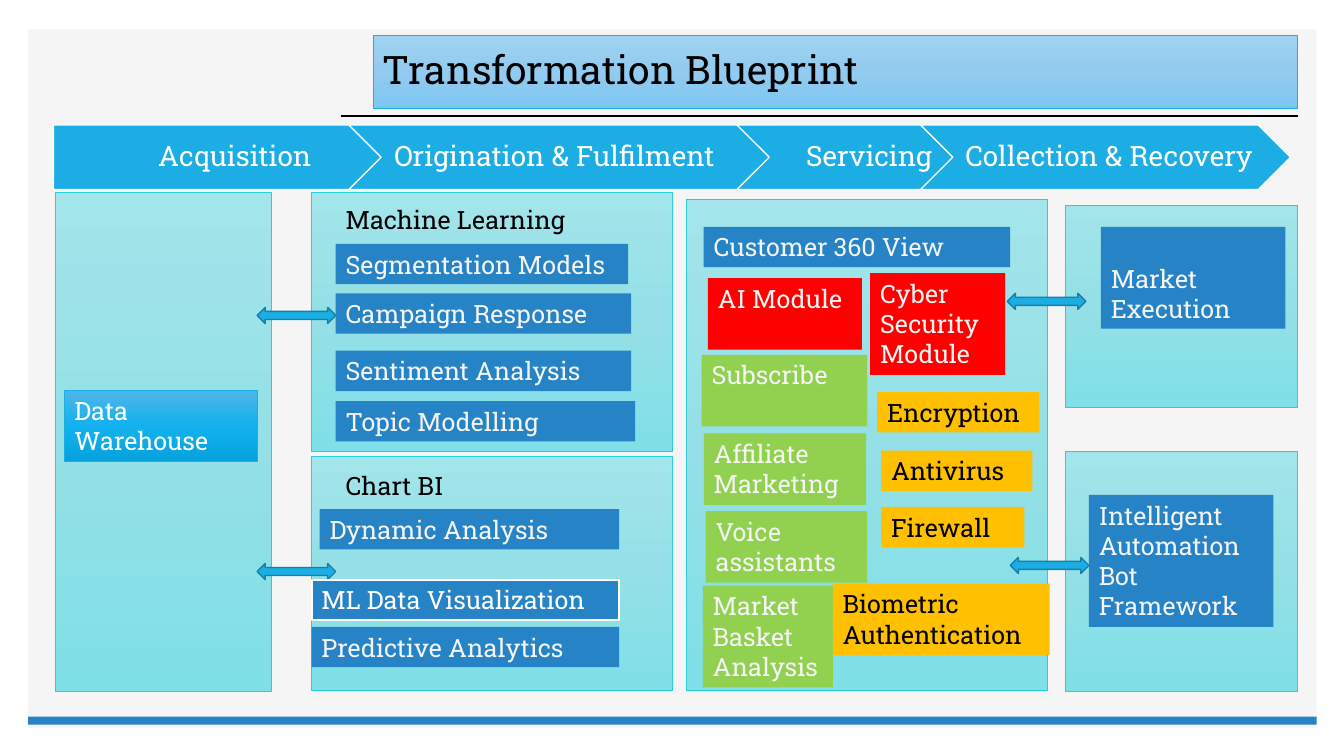
from copy import deepcopy

from pptx import Presentation
from pptx.dml.color import RGBColor
from pptx.enum.shapes import MSO_CONNECTOR, MSO_SHAPE as Shape
from pptx.enum.text import MSO_ANCHOR as Anchor, PP_ALIGN as Align
from pptx.oxml.ns import qn
from pptx.util import Inches, Pt

FONT = "Roboto Slab"
BLACK, WHITE, PALE = "000000", "FFFFFF", "F5F5F5"
BLUE, SKY, RED, GREEN, AMBER = "2683C6", "1CADE4", "FF0000", "92D050", "FFC000"
TITLE_GRADIENT = ("A0D3F2", "92CBEF", "7EC6F1")
PANEL_GRADIENT = ("A2E5EB", "94E0E6", "7FE0E7")
STORE_GRADIENT = ("4FB6E9", "12B1EE", "06A2DD")


def rgb(value):
    return RGBColor.from_string(value)


def fill_gradient(sp, colors):
    """Fill from top to bottom with three evenly spaced colours."""
    sp.fill.gradient()
    sp.fill.gradient_angle = 270
    stops = sp._element.spPr.find(".//" + qn("a:gsLst"))
    stops.insert(1, deepcopy(stops[0]))
    for i, (stop, color) in enumerate(zip(sp.fill.gradient_stops, colors)):
        stop.position = i / 2
        stop.color.rgb = rgb(color)


def add_box(slide, kind, box, fill, line=None, width=0.5):
    sp = slide.shapes.add_shape(kind, *map(Inches, box))
    sp.shadow.inherit = False
    if isinstance(fill, tuple):
        fill_gradient(sp, fill)
    else:
        sp.fill.solid()
        sp.fill.fore_color.rgb = rgb(fill)
    if line:
        sp.line.color.rgb = rgb(line)
        sp.line.width = Pt(width)
    else:
        sp.line.fill.background()
    return sp


def write(sp, text, color, size=18, anchor=Anchor.TOP, align=Align.LEFT, spacing=None):
    tf = sp.text_frame
    tf.word_wrap = True
    tf.vertical_anchor = anchor
    for i, line in enumerate(text.split("\n")):
        p = tf.add_paragraph() if i else tf.paragraphs[0]
        p.alignment = align
        if spacing:
            p.line_spacing = spacing
        r = p.add_run()
        r.text = line
        r.font.name = FONT
        r.font.size = Pt(size)
        r.font.color.rgb = rgb(color)


def add_text(slide, box, text, color, **style):
    sp = slide.shapes.add_textbox(*map(Inches, box))
    write(sp, text, color, **style)
    return sp


def add_rule(slide, x1, x2, y):
    line = slide.shapes.add_connector(
        MSO_CONNECTOR.STRAIGHT, Inches(x1), Inches(y), Inches(x2), Inches(y))
    line.line.color.rgb = rgb(BLACK)
    line.line.width = Pt(1)
    line._element.spPr.append(line._element.makeelement(qn("a:effectLst"), {}))


def add_stage(slide, kind, left, width, center, text):
    """One step of the process band, with its label centred at a given x."""
    top, height, label_width = 1.24, 0.64, 3.4
    add_box(slide, kind, (left, top, width, height), SKY, WHITE, 1)
    add_text(slide, (center - label_width / 2, top, label_width, height), text, WHITE,
             size=20, anchor=Anchor.MIDDLE, align=Align.CENTER, spacing=0.9)


def main():
    prs = Presentation()
    prs.slide_width, prs.slide_height = Inches(13.33), Inches(7.5)
    slide = prs.slides.add_slide(prs.slide_layouts[6])

    # Backdrop and title
    add_box(slide, Shape.RECTANGLE, (0.28, 0.29, 12.78, 6.93), PALE)
    add_rule(slide, 3.38, 12.87, 1.15)
    add_box(slide, Shape.RECTANGLE, (0.28, 7.11, 12.78, 0.08), BLUE)
    title = add_box(slide, Shape.RECTANGLE, (3.7, 0.35, 9.17, 0.73), TITLE_GRADIENT, SKY)
    write(title, "Transformation Blueprint", BLACK, size=28, anchor=Anchor.MIDDLE, spacing=0.9)

    # Process band
    for stage in [
        (Shape.PENTAGON, 0.53, 3.67, 2.33, "Acquisition"),
        (Shape.CHEVRON, 3.46, 4.58, 5.5, "Origination & Fulfilment"),
        (Shape.CHEVRON, 7.31, 2.56, 8.62, "Servicing"),
        (Shape.CHEVRON, 9.13, 3.67, 11, "Collection & Recovery"),
    ]:
        add_stage(slide, *stage)

    # Panels
    for panel in [
        (0.55, 1.91, 2.14, 4.95),
        (3.09, 1.91, 3.58, 2.57),
        (3.09, 4.53, 3.58, 2.32),
        (6.81, 1.98, 3.58, 4.87),
        (10.57, 2.04, 2.3, 2),
        (10.57, 4.48, 2.3, 2.38),
    ]:
        add_box(slide, Shape.RECTANGLE, panel, PANEL_GRADIENT, "27CED7")

    # Two-way arrows between panels
    for x, y in [(2.55, 3.05), (2.55, 5.59), (9.99, 2.91), (10.02, 5.53)]:
        add_box(slide, Shape.LEFT_RIGHT_ARROW, (x, y, 0.78, 0.16), SKY, "1580A9", 1)

    # Panel headings
    add_text(slide, (3.33, 1.98, 2.66, 0.4), "Machine Learning", BLACK)
    add_text(slide, (3.33, 4.62, 1.47, 0.4), "Chart BI", BLACK)

    # Modules by colour; height follows the number of text lines
    heights = {1: 0.4, 2: 0.71, 3: 1.01, 4: 1.31}
    modules = {
        (BLUE, PALE): [
            (3.33, 2.42, 2.9, 1, "Segmentation Models"),
            (3.33, 2.91, 2.93, 1, "Campaign Response"),
            (3.33, 3.48, 2.93, 1, "Sentiment Analysis"),
            (3.33, 3.98, 2.97, 1, "Topic Modelling"),
            (3.17, 5.05, 2.97, 1, "Dynamic Analysis"),
            (3.09, 6.22, 3.05, 1, "Predictive Analytics"),
            (6.98, 2.25, 3.04, 1, "Customer 360 View"),
            (10.8, 4.91, 1.83, 4, "Intelligent Automation\nBot Framework"),
        ],
        (RED, PALE): [
            (7.02, 2.76, 1.53, 2, "AI Module"),
            (8.63, 2.71, 1.34, 3, "Cyber Security Module"),
        ],
        (GREEN, PALE): [
            (6.96, 3.52, 1.64, 2, "Subscribe"),
            (6.98, 4.3, 1.61, 2, "Affiliate Marketing"),
            (7, 5.07, 1.6, 2, "Voice assistants"),
            (6.97, 5.81, 1.29, 3, "Market Basket Analysis"),
        ],
        (AMBER, BLACK): [
            (8.7, 3.89, 1.61, 1, "Encryption"),
            (8.74, 4.47, 1.5, 1, "Antivirus"),
            (8.74, 5.03, 1.42, 1, "Firewall"),
            (8.26, 5.79, 2.15, 2, "Biometric Authentication"),
        ],
    }
    for (fill, color), items in modules.items():
        for x, y, width, lines, text in items:
            sp = add_box(slide, Shape.RECTANGLE, (x, y, width, heights[lines]), fill)
            write(sp, text, color)

    # Modules with their own style
    store = add_box(slide, Shape.RECTANGLE, (0.64, 3.87, 1.91, 0.71), STORE_GRADIENT, SKY)
    write(store, "Data Warehouse", WHITE)
    visual = add_box(slide, Shape.RECTANGLE, (3.09, 5.75, 3.05, 0.4), BLUE, WHITE, 1.5)
    write(visual, "ML Data Visualization", WHITE)
    market = add_box(slide, Shape.RECTANGLE, (10.92, 2.25, 1.83, 1.01), BLUE)
    write(market, "Market Execution", PALE, anchor=Anchor.BOTTOM)

    prs.save("out.pptx")


if __name__ == "__main__":
    main()
